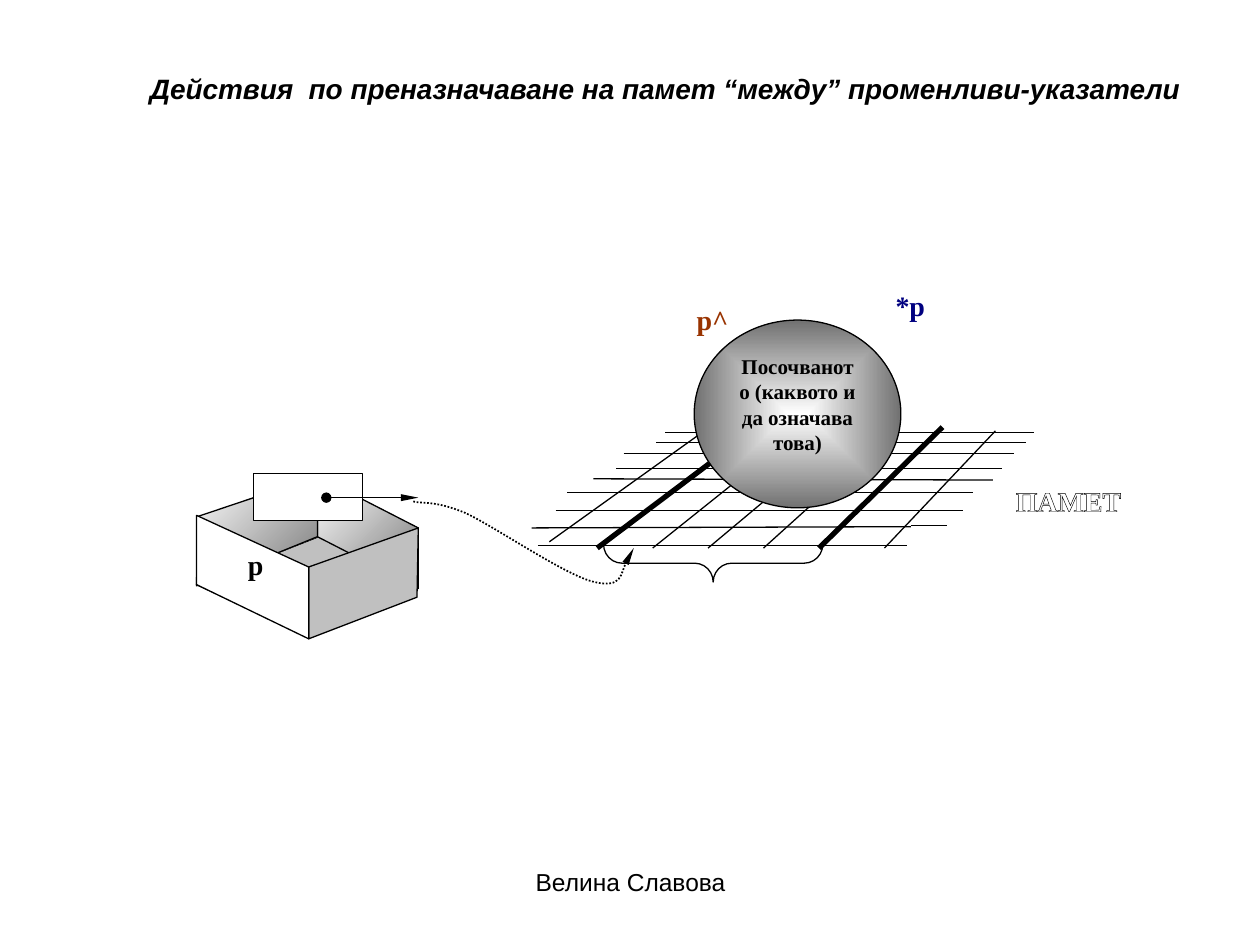
import pptx
import pptx.dml.color
import pptx.enum.dml
import pptx.enum.shapes
import pptx.enum.text
import pptx.oxml.ns
import pptx.util
from lxml import etree

Inches = pptx.util.Inches
Pt = pptx.util.Pt
qn = pptx.oxml.ns.qn
SHAPE = pptx.enum.shapes.MSO_SHAPE
ALIGN = pptx.enum.text.PP_ALIGN

SERIF = {"name": "Times New Roman", "size": Pt(16), "bold": True}
TITLE = {"name": "Arial", "size": Pt(16), "bold": True, "italic": True}
FOOTER = {"name": "Arial", "size": Pt(14)}
DOT = {"type": "oval"}
ARROW = {"type": "triangle", "w": "sm", "len": "lg"}


def color(value):
    return pptx.dml.color.RGBColor.from_string(value)


def set_line(sp, width=0.75, **ends):
    sp.line.color.rgb = color("000000")
    sp.line.width = Pt(width)
    ln = sp._element.spPr.find(qn("a:ln"))
    for end, attributes in ends.items():
        etree.SubElement(ln, qn(f"a:{end}"), **attributes)


def set_fill(sp, fill):
    if fill is None:
        sp.fill.background()
    elif isinstance(fill, str):
        sp.fill.solid()
        sp.fill.fore_color.rgb = color(fill)
    else:
        sp.fill.gradient()
        sp.fill.gradient_angle = 315
        for stop, position, value in zip(sp.fill.gradient_stops, (0, 1), fill):
            stop.position = position
            stop.color.rgb = color(value)


def style_shape(sp, fill):
    sp.shadow.inherit = False
    set_fill(sp, fill)
    set_line(sp)
    return sp


def add_shape(shapes, kind, left, top, width, height, fill=None):
    box = map(Inches, (left, top, width, height))
    return style_shape(shapes.add_shape(kind, *box), fill)


def add_outline(shapes, left, top, points, fill=None, close=True):
    points = [(Inches(left + x), Inches(top + y)) for x, y in points]
    builder = shapes.build_freeform(*points[0], scale=1.0)
    builder.add_line_segments(points[1:], close=close)
    return style_shape(builder.convert_to_shape(), fill)


def add_line(shapes, x1, y1, x2, y2, width=0.75, **ends):
    straight = pptx.enum.shapes.MSO_CONNECTOR.STRAIGHT
    sp = shapes.add_connector(straight, *map(Inches, (x1, y1, x2, y2)))
    set_line(sp, width, **ends)
    etree.SubElement(sp._element.spPr, qn("a:effectLst"))


def write(tf, text, font, fill, align=ALIGN.CENTER, outlined=False):
    p = tf.paragraphs[0]
    p.alignment = align
    r = p.add_run()
    r.text = text
    for name, value in font.items():
        setattr(r.font, name, value)
    r.font.color.rgb = color(fill)
    if outlined:
        ln = etree.Element(qn("a:ln"), w=str(Pt(0.75)))
        solid = etree.SubElement(ln, qn("a:solidFill"))
        etree.SubElement(solid, qn("a:srgbClr"), val="000000")
        r.font._element.insert(0, ln)


def add_text(shapes, left, top, width, height, text, font, fill="000000",
             wrap=False, **format):
    tf = shapes.add_textbox(*map(Inches, (left, top, width, height))).text_frame
    tf.word_wrap = wrap
    write(tf, text, font, fill, **format)
    return tf


def draw_pointer_box(s, left, top):
    shapes = s.shapes.add_group_shape().shapes
    shade = ("FFFFFF", "767676")
    faces = [
        ([(0, 0.88), (0.9, 1.3), (1.76, 0.91), (0.97, 0.5)], "C0C0C0"),
        ([(0.96, 0.5), (1.76, 0.91), (1.76, 0.43), (0.96, 0.02)], shade),
        ([(0.89, 1.31), (1.75, 0.98), (1.76, 0.43), (0.89, 0.74)], "C0C0C0"),
        ([(0, 0.89), (0.96, 0.5), (0.96, 0.02), (0.01, 0.34)], shade),
        ([(0, 0.33), (0, 0.88), (0.89, 1.31), (0.89, 0.74)], "FFFFFF"),
    ]
    for points, fill in faces:
        add_outline(shapes, left, top, points, fill)
    add_text(shapes, left + 0.27, top + 0.54, 0.4, 0.62, "р", SERIF, outlined=True)
    add_shape(shapes, SHAPE.RECTANGLE, left + 0.45, top, 0.87, 0.37, "FFFFFF")
    y = top + 0.19
    add_line(shapes, left + 1.03, y, left + 1.76, y, headEnd=DOT, tailEnd=ARROW)


def draw_memory_grid(s, left, top):
    columns = [(0.14, 0.91, 1.37, 0.03, 0.75), (0.52, 0.96, 1.78, 0.01, 3),
               (0.96, 0.96, 2.11, 0.04, 0.75), (1.4, 0.96, 2.51, 0.03, 0.75),
               (1.84, 0.96, 2.87, 0.03, 0.75), (2.28, 0.96, 3.26, 0, 3),
               (2.8, 0.96, 3.68, 0.03, 0.75)]
    rows = [(1.06, 0.04, 3.99, 0.04), (0.99, 0.12, 3.92, 0.12),
            (0.73, 0.21, 3.83, 0.21), (0.67, 0.33, 3.73, 0.33),
            (0.49, 0.41, 3.66, 0.42), (0.28, 0.52, 3.5, 0.52),
            (0.19, 0.66, 3.42, 0.66), (0, 0.8, 3.01, 0.79),
            (3.01, 0.78, 3.3, 0.78), (0.05, 0.94, 2.98, 0.94)]
    for x1, y1, x2, y2, *width in columns + rows:
        add_line(s.shapes, left + x1, top + y1, left + x2, top + y2, *width)
    brace = add_shape(s.shapes, SHAPE.RIGHT_BRACE, left + 1.29, top + 0.21, 0.3, 1.74)
    brace.rotation = 90
    brace.adjustments[0] = 0.49
    add_text(s.shapes, left + 3.61, top + 0.4, 1.3, 0.39, "ПАМЕТ", SERIF,
             "FFFFFF", outlined=True)


def draw_reference_curve(s, left, top):
    points = [(0, 0.01), (0.07, 0.03), (0.17, 0), (0.41, 0.1), (0.65, 0.21),
              (1.21, 0.6), (1.44, 0.65), (1.66, 0.7), (1.69, 0.44), (1.75, 0.38)]
    sp = add_outline(s.shapes, left, top, points, close=False)
    segments = sp._element.xpath(".//a:lnTo")
    for i in range(0, len(segments), 3):
        curve = etree.Element(qn("a:cubicBezTo"))
        segments[i].addprevious(curve)
        for segment in segments[i:i + 3]:
            curve.append(segment[0])
            segment.getparent().remove(segment)
    sp.line.dash_style = pptx.enum.dml.MSO_LINE.ROUND_DOT
    set_line(sp, 1, tailEnd=ARROW)


def draw_target(s, left, top):
    add_text(s.shapes, left - 0.1, top - 0.19, 0.49, 0.58, "р^", SERIF,
             "993300", outlined=True)
    sp = add_shape(s.shapes, SHAPE.OVAL, left, top, 1.64, 1.49, ("FFFFFF", "717171"))
    lin = sp._element.xpath(".//a:lin")[0]
    radial = etree.Element(qn("a:path"), path="rect")
    sides = dict.fromkeys("ltrb", "50000")
    etree.SubElement(radial, qn("a:fillToRect"), **sides)
    lin.getparent().replace(lin, radial)
    tf = sp.text_frame
    tf.word_wrap = True
    tf.vertical_anchor = pptx.enum.text.MSO_ANCHOR.TOP
    write(tf, "Посочваното (каквото и да означава това)",
          {**SERIF, "size": Pt(12)}, "000000")
    add_text(s.shapes, left + 1.35, top - 0.3, 0.73, 0.58, "*р", SERIF,
             "000080", outlined=True)


def draw_title(s, left, top):
    tf = add_text(s.shapes, left, top, 8.54, 0.58,
                  "Действия  по преназначаване на памет “между” променливи-указатели",
                  TITLE, align=ALIGN.LEFT)
    tf.margin_left = Inches(0.25)
    tf.margin_top = Inches(0.05)


def main():
    prs = pptx.Presentation()
    prs.slide_width, prs.slide_height = Inches(10), Inches(7.5)
    s = prs.slides.add_slide(prs.slide_layouts[6])
    draw_title(s, 0.94, 0.52)
    draw_pointer_box(s, 1.56, 3.76)
    draw_memory_grid(s, 4.22, 3.39)
    draw_reference_curve(s, 3.28, 3.97)
    draw_target(s, 5.51, 2.54)
    add_text(s.shapes, 3.42, 6.83, 3.17, 0.52, "Велина Славова", FOOTER, wrap=True)
    prs.save("out.pptx")


if __name__ == "__main__":
    main()
